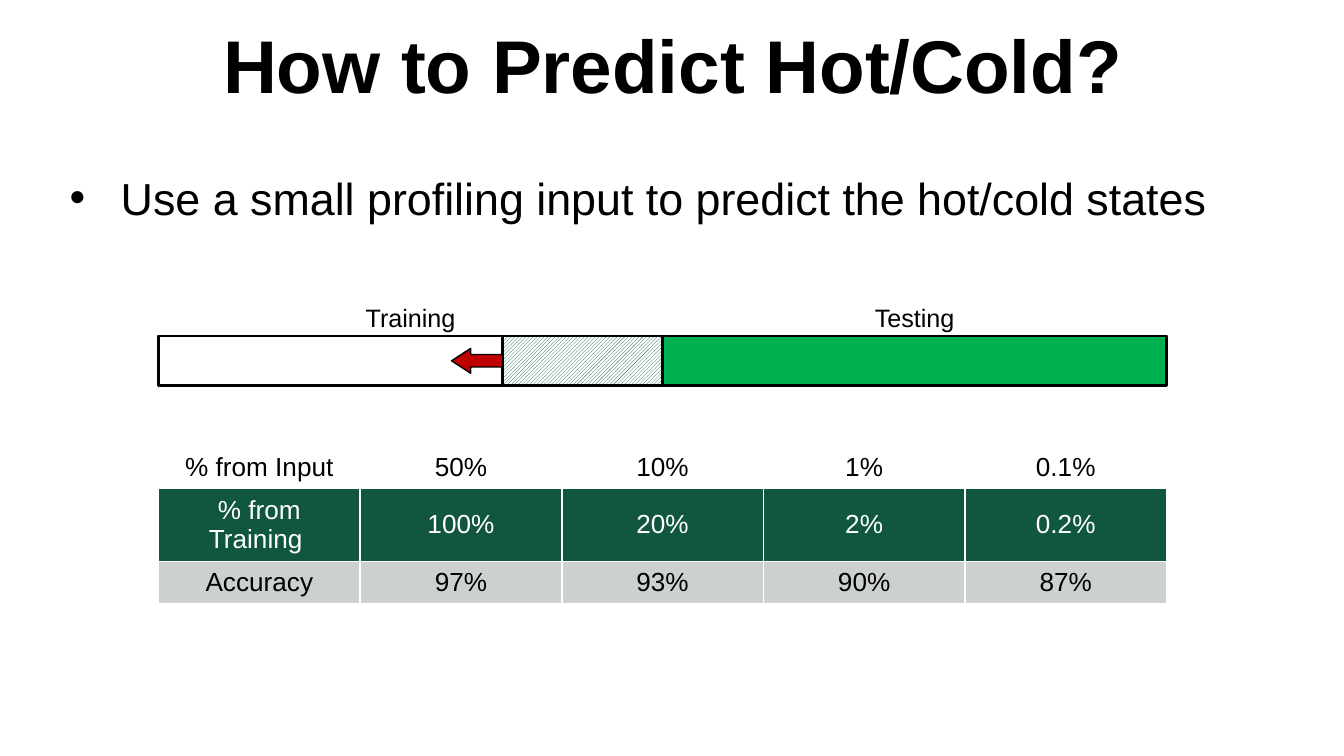
from lxml import etree
from pptx import Presentation
from pptx.dml.color import RGBColor
from pptx.enum.dml import MSO_PATTERN
from pptx.enum.shapes import MSO_SHAPE
from pptx.enum.text import MSO_ANCHOR, PP_ALIGN
from pptx.oxml.ns import qn
from pptx.util import Inches, Pt

COLORS = {
    "ink": "000000",
    "paper": "FFFFFF",
    "forest": "115740",
    "testing": "00B050",
    "arrow": "C00000",
    "accuracy": "CCD1CF",
}


def rgb(name):
    """Return the named palette colour."""
    return RGBColor.from_string(COLORS[name])


def style_text(paragraph, size, color="ink", align=PP_ALIGN.CENTER, bold=False):
    """Format a paragraph and its runs."""
    paragraph.alignment = align
    for run in paragraph.runs:
        run.font.name = "Arial"
        run.font.size = Pt(size)
        run.font.bold = bold
        run.font.color.rgb = rgb(color)


def add_label(slide, box, text, size, **style):
    """Add a wrapped one-paragraph text box and return its frame."""
    frame = slide.shapes.add_textbox(*map(Inches, box)).text_frame
    frame.word_wrap = True
    frame.text = text
    style_text(frame.paragraphs[0], size, **style)
    return frame


def add_title(slide, box):
    """Add the slide heading."""
    frame = add_label(slide, box, "How to Predict Hot/Cold?", 40, bold=True)
    frame.vertical_anchor = MSO_ANCHOR.MIDDLE


def add_claim(slide, box):
    """Add the bulleted statement."""
    text = "Use a small profiling input to predict the hot/cold states"
    frame = add_label(slide, box, text, 24, align=PP_ALIGN.LEFT)
    properties = frame.paragraphs[0]._p.get_or_add_pPr()
    properties.set("marL", str(Inches(0.38)))
    properties.set("indent", str(-Inches(0.38)))
    etree.SubElement(properties, qn("a:buFont"), typeface="Arial")
    etree.SubElement(properties, qn("a:buChar"), char="•")


def add_block(slide, preset, box, color, line_width):
    """Add an outlined shape, hatched when it has no colour."""
    block = slide.shapes.add_shape(preset, *map(Inches, box))
    block.shadow.inherit = False
    if color:
        block.fill.solid()
        block.fill.fore_color.rgb = rgb(color)
    else:
        block.fill.patterned()
        block.fill.pattern = MSO_PATTERN.DARK_UPWARD_DIAGONAL
        block.fill.fore_color.rgb = rgb("forest")
        block.fill.back_color.rgb = rgb("paper")
    block.line.color.rgb = rgb("ink")
    block.line.width = Pt(line_width)
    return block


def add_input_split(slide, box):
    """Draw the input bar with its training and testing parts."""
    left, top, width, height = box
    half = width / 2
    unused = 2.56
    for start, length, color in (
        (0, width, None),
        (half, half, "testing"),
        (0, unused, "paper"),
    ):
        part = (left + start, top, length, height)
        add_block(slide, MSO_SHAPE.RECTANGLE, part, color, 1.5)
    label_width = 1.23
    for index, name in enumerate(("Training", "Testing")):
        label_left = left + half * (index + 0.5) - label_width / 2
        add_label(slide, (label_left, top - 0.3, label_width, 0.33), name, 13.5)
    arrow_width = 0.38
    arrow_box = (left + unused - arrow_width, top + height / 4, arrow_width, height / 2)
    arrow = add_block(slide, MSO_SHAPE.LEFT_ARROW, arrow_box, "arrow", 0.75)
    arrow.adjustments[1] = 0.77


def add_borders(cell, visible):
    """Give a cell thin white edges, or none at all."""
    properties = cell._tc.get_or_add_tcPr()
    for index, side in enumerate(("lnL", "lnR", "lnT", "lnB")):
        edge = etree.Element(qn(f"a:{side}"), w=str(Pt(1)))
        if visible:
            fill = etree.SubElement(edge, qn("a:solidFill"))
            etree.SubElement(fill, qn("a:srgbClr"), val=COLORS["paper"])
        else:
            etree.SubElement(edge, qn("a:noFill"))
        properties.insert(index, edge)


def add_results(slide, box, rows):
    """Add a table from rows of height, fill, text colour and values."""
    columns = len(rows[0][3])
    table = slide.shapes.add_table(len(rows), columns, *map(Inches, box)).table
    table.first_row = table.horz_banding = False
    for column in table.columns:
        column.width = Inches(box[2] / columns)
    for row, (height, fill, color, values) in zip(table.rows, rows):
        row.height = Inches(height)
        for cell, value in zip(row.cells, values):
            cell.margin_left = cell.margin_right = Inches(0.07)
            cell.margin_top = cell.margin_bottom = Inches(0.04)
            cell.vertical_anchor = MSO_ANCHOR.MIDDLE
            cell.text_frame.text = value
            style_text(cell.text_frame.paragraphs[0], 14, color)
            if fill:
                cell.fill.solid()
                cell.fill.fore_color.rgb = rgb(fill)
            else:
                cell.fill.background()
            add_borders(cell, visible=bool(fill))


def main():
    """Build and save the slide."""
    deck = Presentation()
    deck.slide_width = Inches(10)
    deck.slide_height = deck.slide_width * 9 // 16
    slide = deck.slides.add_slide(deck.slide_layouts[6])
    add_title(slide, (0.12, 0, 9.77, 0.94))
    add_input_split(slide, (1.18, 2.5, 7.5, 0.37))
    add_results(slide, (1.18, 3.63, 7.5, 0.85), [
        (0.53, "forest", "paper", ("% from Training ", "100%", "20%", "2%", "0.2%")),
        (0.3, "accuracy", "ink", ("Accuracy", "97%", "93%", "90%", "87%")),
    ])
    add_results(slide, (1.18, 3.32, 7.5, 0.31), [
        (0.3, None, "ink", ("% from Input", "50%", "10%", "1%", "0.1%")),
    ])
    add_claim(slide, (0.42, 1.22, 9, 1.1))
    deck.save("out.pptx")


if __name__ == "__main__":
    main()
